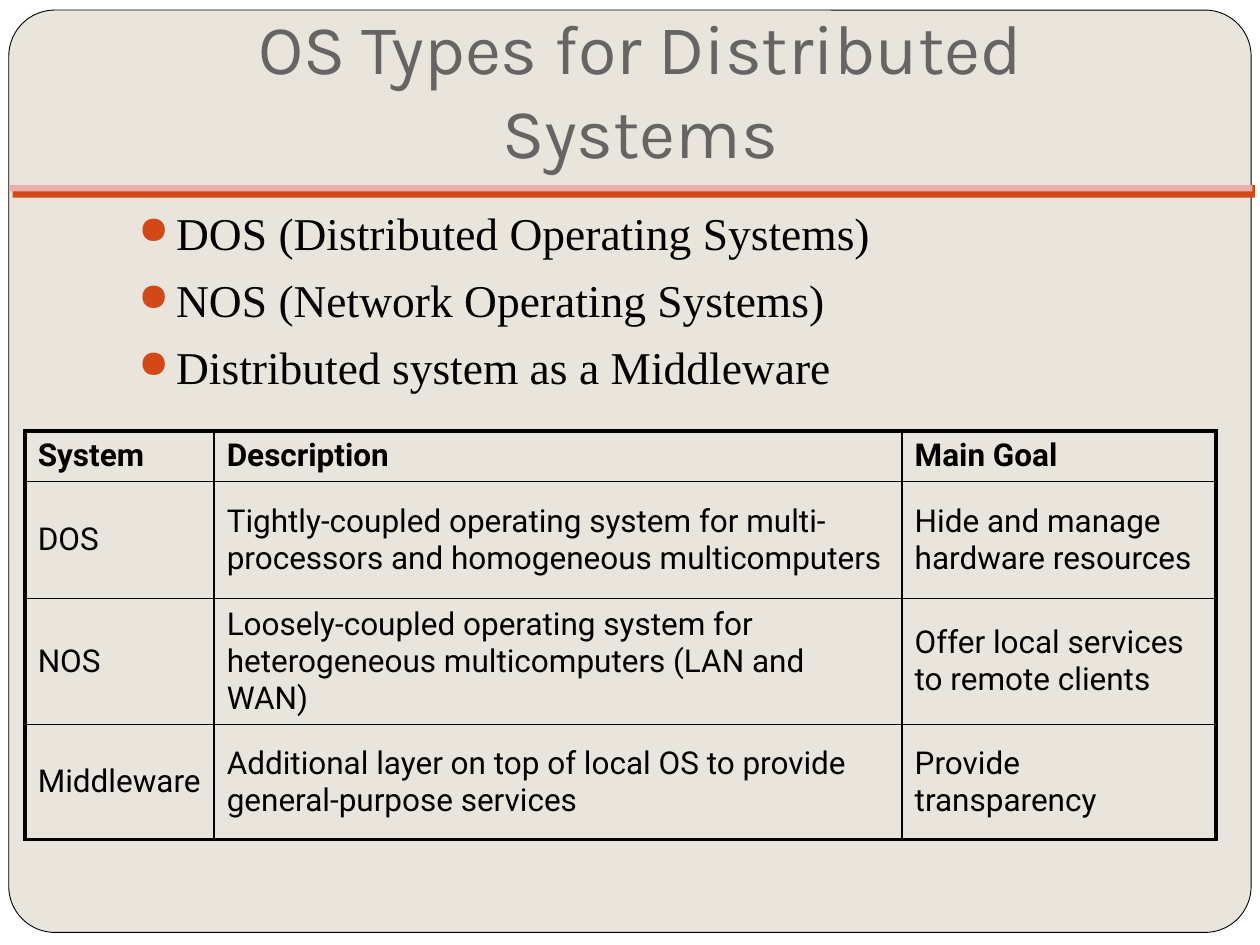
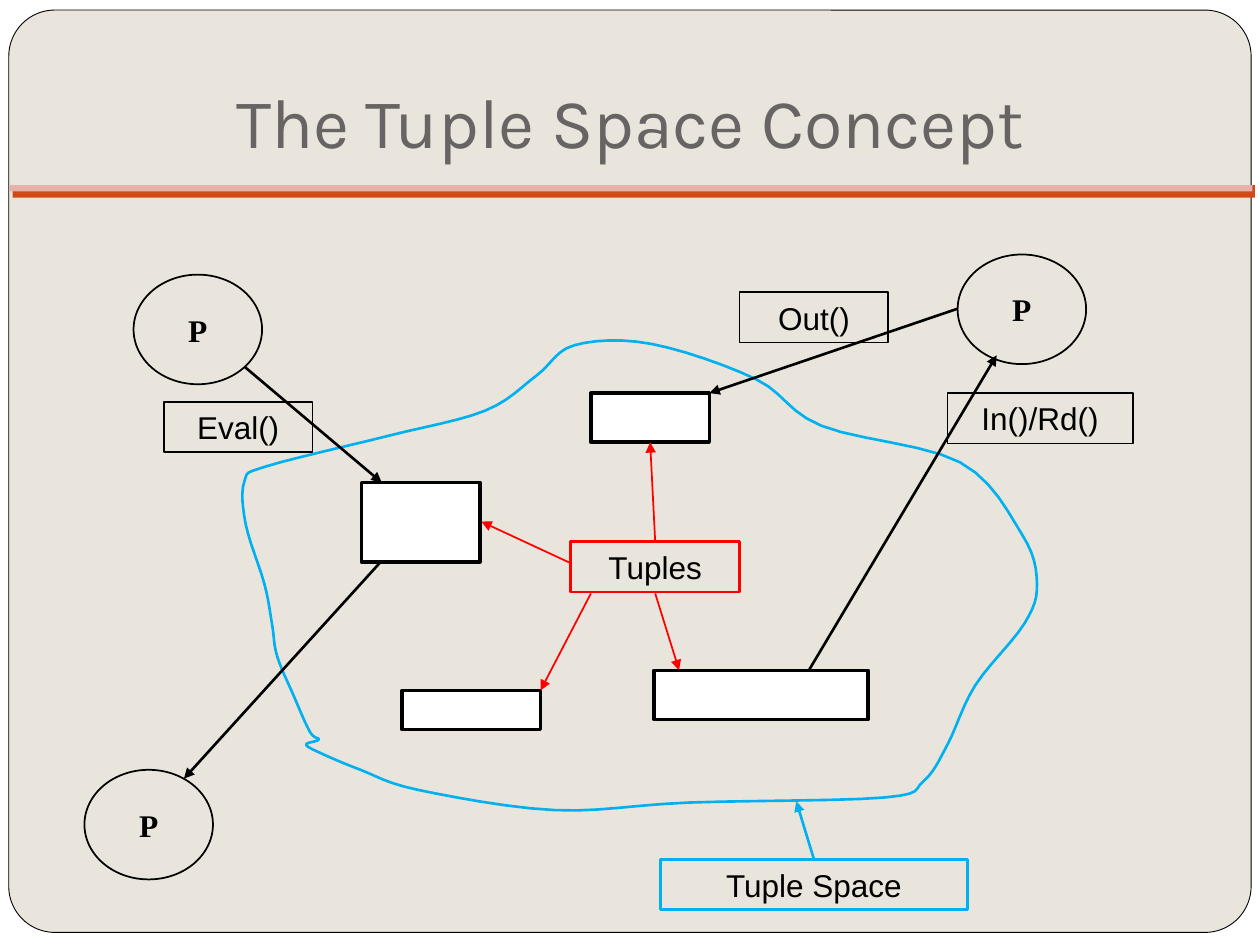
from pptx import Presentation
from pptx.dml.color import RGBColor
from pptx.enum import shapes as kinds, text as txt
from pptx.oxml.ns import qn
from pptx.util import Inches, Pt
from lxml import etree

BLACK = RGBColor.from_string("000000")
WHITE = RGBColor.from_string("FFFFFF")
PAPER = RGBColor.from_string("E9E5DC")
ORANGE = RGBColor.from_string("D34817")
PINK = RGBColor.from_string("E6B1AC")
GREY = RGBColor.from_string("696464")
SKY = RGBColor.from_string("00B0F0")
RED = RGBColor.from_string("FF0000")
TITLE_FONT, TABLE_FONT, SERIF, SANS = "Karla", "Roboto", "Times New Roman", "Arial"
RECT, OVAL = kinds.MSO_SHAPE.RECTANGLE, kinds.MSO_SHAPE.OVAL
CENTER = txt.PP_ALIGN.CENTER
MIDDLE, BOTTOM = txt.MSO_ANCHOR.MIDDLE, txt.MSO_ANCHOR.BOTTOM

OS_TITLE = ("OS Types for Distributed Systems", (0.83, 0.44, 8.5, 1.03))
OS_TYPES = [
    "DOS (Distributed Operating Systems)",
    "NOS (Network Operating Systems)",
    "Distributed system as a Middleware",
]
COMPARISON = [
    ("System", "Description", "Main Goal"),
    ("DOS",
     "Tightly-coupled operating system for multi-processors and homogeneous multicomputers",
     "Hide and manage hardware resources"),
    ("NOS",
     "Loosely-coupled operating system for heterogeneous multicomputers (LAN and WAN)",
     "Offer local services to remote clients"),
    ("Middleware",
     "Additional layer on top of local OS to provide general-purpose services",
     "Provide transparency"),
]
COLUMN_WIDTHS = (1.5, 5.46, 2.49)
ROW_HEIGHTS = (0.4, 0.93, 0.98, 0.91)

TUPLE_TITLE = ("The Tuple Space Concept", (0.75, 0.44, 8.5, 0.95))
PROCESSES = [(7.6, 2.02), (1.06, 2.18), (0.67, 6.11)]
TUPLES = [
    (4.69, 3.12, 0.94, 0.39),
    (3.19, 5.48, 1.1, 0.31),
    (2.87, 3.83, 0.94, 0.63),
    (5.19, 5.32, 1.7, 0.39),
]
LABELS = [
    ("In()/Rd()", 7.52, 3.12, 1.47, BLACK, 1),
    ("Out()", 5.87, 2.32, 1.18, BLACK, 1),
    ("Eval()", 1.3, 3.19, 1.18, BLACK, 1),
    ("Tuple Space", 5.24, 6.82, 2.44, SKY, 1.5),
    ("Tuples", 4.53, 4.3, 1.34, RED, 1.5),
]
ARROWS = [
    (BLACK, 1.5, [
        ((7.6, 2.45), (5.63, 3.12)),
        ((6.42, 5.32), (7.91, 2.82)),
        ((3.03, 4.45), (1.46, 6.18)),
        ((1.94, 2.91), (3.03, 3.83)),
    ]),
    (SKY, 1.5, [((6.46, 6.82), (6.32, 6.36))]),
    (RED, 1, [
        ((5.2, 4.3), (5.16, 3.51)),
        ((4.53, 4.47), (3.82, 4.14)),
        ((4.69, 4.71), (4.29, 5.48)),
        ((5.2, 4.71), (5.39, 5.32)),
    ]),
]
SPACE_OUTLINE = [
    (2.43, 5.91), (2.53, 5.87), (2.46, 5.81), (2.33, 5.52), (2.2, 5.21),
    (2.16, 4.96), (2.1, 4.64), (1.95, 4.16), (1.94, 3.82), (2.12, 3.7),
    (3.08, 3.46), (3.85, 3.26), (4.26, 2.98), (4.56, 2.74), (5.17, 2.73),
    (6, 3.01), (6.52, 3.38), (7.62, 3.67), (8.11, 4.24), (8.23, 4.63),
    (8.13, 4.95), (7.74, 5.44), (7.52, 5.91), (7.33, 6.2), (7.02, 6.33),
    (5.47, 6.37), (4.4, 6.43), (3.32, 6.27), (2.86, 6.11), (2.55, 5.98),
]
CURVE_STEPS = 6


def lengths(values):
    return [Inches(v) for v in values]


def add_run(paragraph, words, font, size, color=BLACK, bold=False):
    run = paragraph.add_run()
    run.text = words
    run.font.name, run.font.size, run.font.bold = font, Pt(size), bold
    run.font.color.rgb = color


def style(shape, fill=None, line=None, width=1):
    shape.shadow.inherit = False
    if fill is None:
        shape.fill.background()
    else:
        shape.fill.solid()
        shape.fill.fore_color.rgb = fill
    if line is None:
        shape.line.fill.background()
    else:
        shape.line.color.rgb = line
        shape.line.width = Pt(width)
    return shape


def add_box(slide, kind, place, fill=None, line=None, width=1):
    return style(slide.shapes.add_shape(kind, *lengths(place)), fill, line, width)


def write_centered(shape, words, font, bold=False):
    shape.text_frame.vertical_anchor = MIDDLE
    paragraph = shape.text_frame.paragraphs[0]
    paragraph.alignment = CENTER
    add_run(paragraph, words, font, 18, bold=bold)


def add_text_frame(slide, place):
    frame = slide.shapes.add_textbox(*lengths(place)).text_frame
    frame.word_wrap = True
    return frame


def start_slide(deck, title, place):
    slide = deck.slides.add_slide(deck.slide_layouts[6])
    slide.background.fill.solid()
    slide.background.fill.fore_color.rgb = PAPER
    add_box(slide, RECT, (0, 0, 10, 7.5), WHITE)
    card = add_box(slide, kinds.MSO_SHAPE.ROUNDED_RECTANGLE,
                   (0.07, 0.08, 9.86, 7.32), PAPER, BLACK, 0.5)
    card.adjustments[0] = 0.05
    add_box(slide, RECT, (0.1, 1.47, 9.86, 0.1), ORANGE)
    add_box(slide, RECT, (0.08, 1.47, 9.86, 0.05), PINK)
    heading = add_text_frame(slide, place)
    heading.vertical_anchor = BOTTOM
    heading.margin_bottom = Inches(0.1)
    heading.paragraphs[0].alignment = CENTER
    add_run(heading.paragraphs[0], title, TITLE_FONT, 40, GREY)
    return slide


def add_bullets(slide, items):
    frame = add_text_frame(slide, (1, 1.58, 8.5, 1.75))
    for i, item in enumerate(items):
        paragraph = frame.add_paragraph() if i else frame.paragraphs[0]
        props = paragraph._p.get_or_add_pPr()
        props.set("marL", str(Inches(0.3)))
        props.set("indent", str(-Inches(0.3)))
        if i:
            paragraph.space_before = Pt(7)
        color = etree.SubElement(props, qn("a:buClr"))
        etree.SubElement(color, qn("a:srgbClr"), val=str(ORANGE))
        etree.SubElement(props, qn("a:buSzPct"), val="85000")
        etree.SubElement(props, qn("a:buChar"), char="●")
        add_run(paragraph, item, SERIF, 26)


def border_cell(cell, outer_sides):
    props = cell._tc.get_or_add_tcPr()
    for i, (side, outer) in enumerate(zip("LRTB", outer_sides)):
        line = etree.Element(qn("a:ln" + side), w=str(Pt(2.25 if outer else 1)))
        fill = etree.SubElement(line, qn("a:solidFill"))
        etree.SubElement(fill, qn("a:srgbClr"), val=str(BLACK))
        props.insert(i, line)


def add_comparison(slide):
    last_row, last_column = len(COMPARISON) - 1, len(COLUMN_WIDTHS) - 1
    place = (0.2, 3.42, sum(COLUMN_WIDTHS), sum(ROW_HEIGHTS))
    table = slide.shapes.add_table(last_row + 1, last_column + 1, *lengths(place)).table
    for column, width in zip(table.columns, COLUMN_WIDTHS):
        column.width = Inches(width)
    for r, (entries, height) in enumerate(zip(COMPARISON, ROW_HEIGHTS)):
        table.rows[r].height = Inches(height)
        for c, entry in enumerate(entries):
            cell = table.cell(r, c)
            cell.fill.background()
            cell.vertical_anchor = MIDDLE
            add_run(cell.text_frame.paragraphs[0], entry, TABLE_FONT, 18, bold=r == 0)
            border_cell(cell, (c == 0, c == last_column, r == 0, r == last_row))


def add_arrow(slide, start, end, color, width):
    arrow = slide.shapes.add_connector(kinds.MSO_CONNECTOR.STRAIGHT, *lengths(start + end))
    arrow.line.color.rgb = color
    arrow.line.width = Pt(width)
    props = arrow._element.spPr
    etree.SubElement(props.find(qn("a:ln")), qn("a:tailEnd"), type="triangle")
    etree.SubElement(props, qn("a:effectLst"))


def smooth_loop(knots):
    count = len(knots)
    for i in range(count):
        around = [knots[(i + shift) % count] for shift in (-1, 0, 1, 2)]
        for step in range(CURVE_STEPS):
            t = step / CURVE_STEPS
            yield [b + t * (c - a + t * (2 * a - 5 * b + 4 * c - d
                                         + t * (3 * (b - c) + d - a))) / 2
                   for a, b, c, d in zip(*around)]


def add_tuple_space(slide):
    start, *rest = [lengths(point) for point in smooth_loop(SPACE_OUTLINE)]
    outline = slide.shapes.build_freeform(*start)
    outline.add_line_segments(rest, close=True)
    style(outline.convert_to_shape(), line=SKY, width=1.5)


def main():
    deck = Presentation()
    deck.slide_width, deck.slide_height = Inches(10), Inches(7.5)

    os_slide = start_slide(deck, *OS_TITLE)
    add_bullets(os_slide, OS_TYPES)
    add_comparison(os_slide)

    tuple_slide = start_slide(deck, *TUPLE_TITLE)
    add_tuple_space(tuple_slide)
    for left, top in PROCESSES:
        process = add_box(tuple_slide, OVAL, (left, top, 1.02, 0.87), line=BLACK)
        write_centered(process, "P", SERIF, bold=True)
    for place in TUPLES:
        add_box(tuple_slide, RECT, place, WHITE, BLACK, 2)
    for words, left, top, width, color, weight in LABELS:
        label = add_box(tuple_slide, RECT, (left, top, width, 0.4), line=color, width=weight)
        write_centered(label, words, SANS)
    for color, weight, routes in ARROWS:
        for start, end in routes:
            add_arrow(tuple_slide, start, end, color, weight)

    deck.save("out.pptx")


if __name__ == "__main__":
    main()
